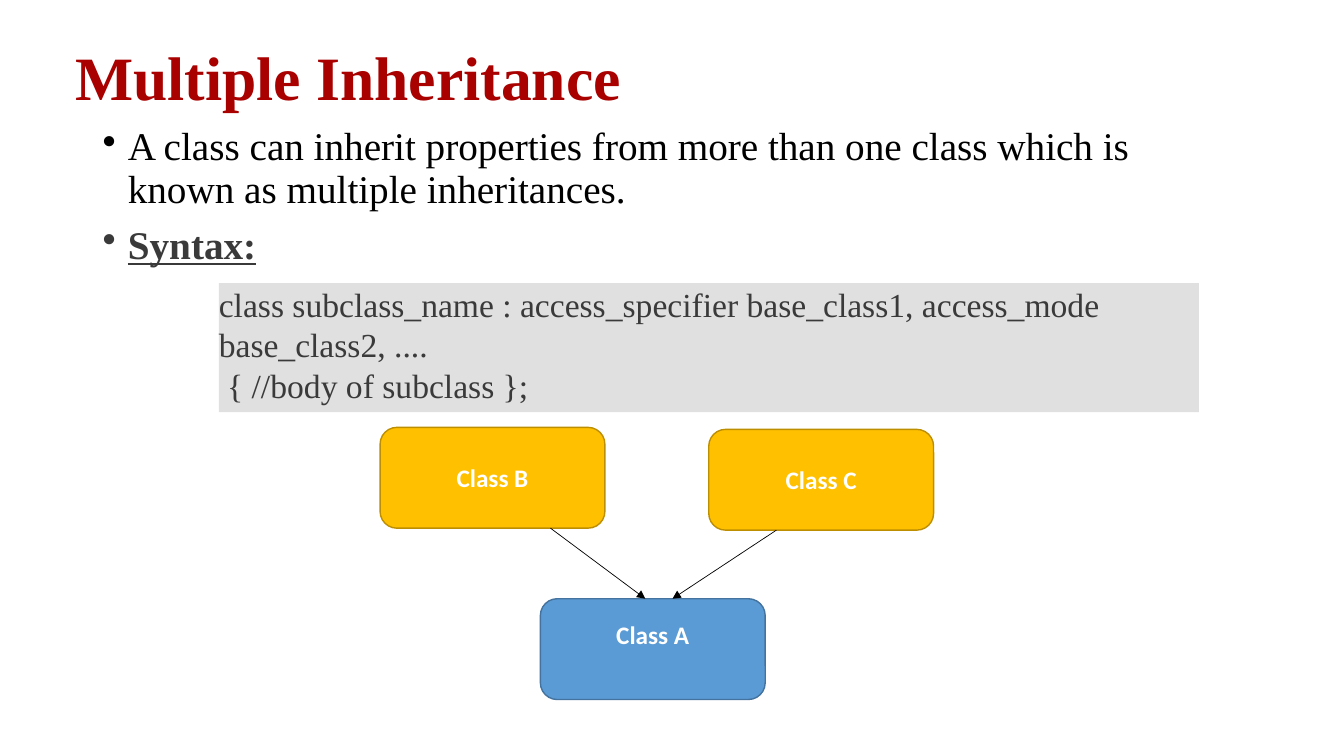
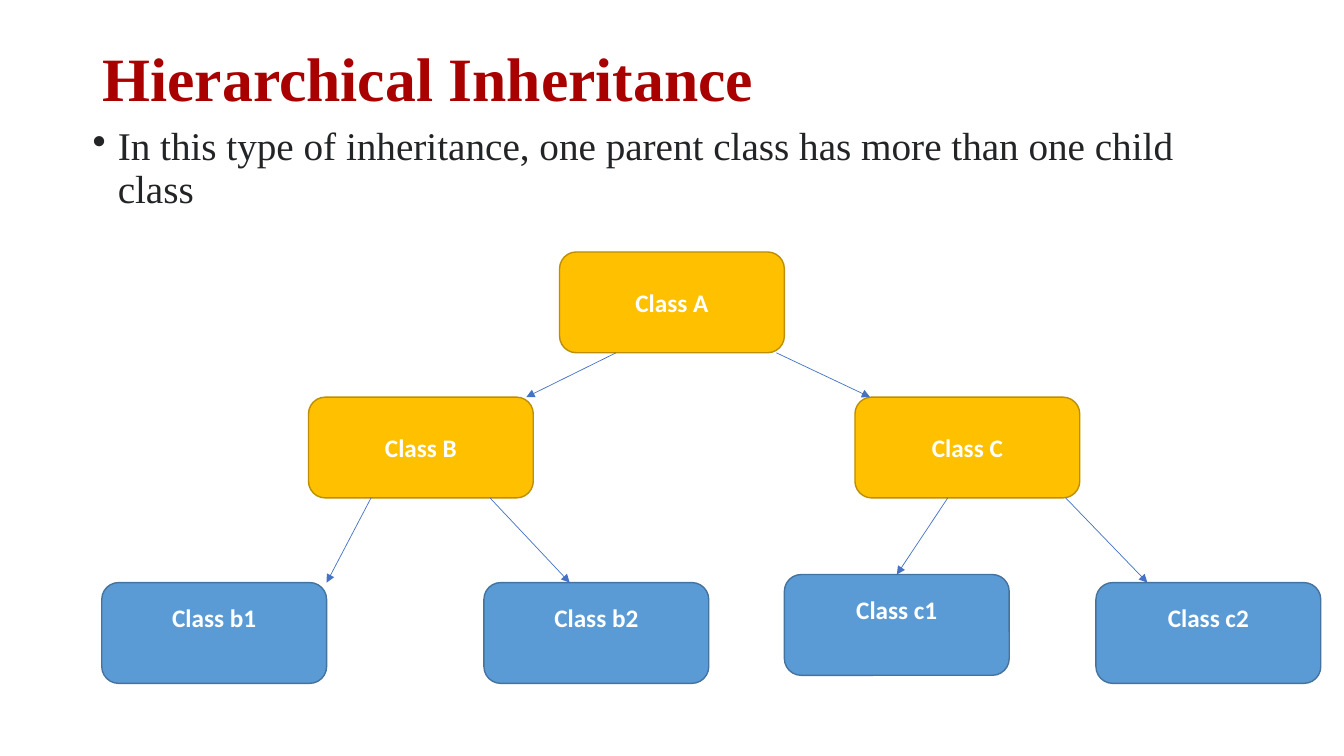
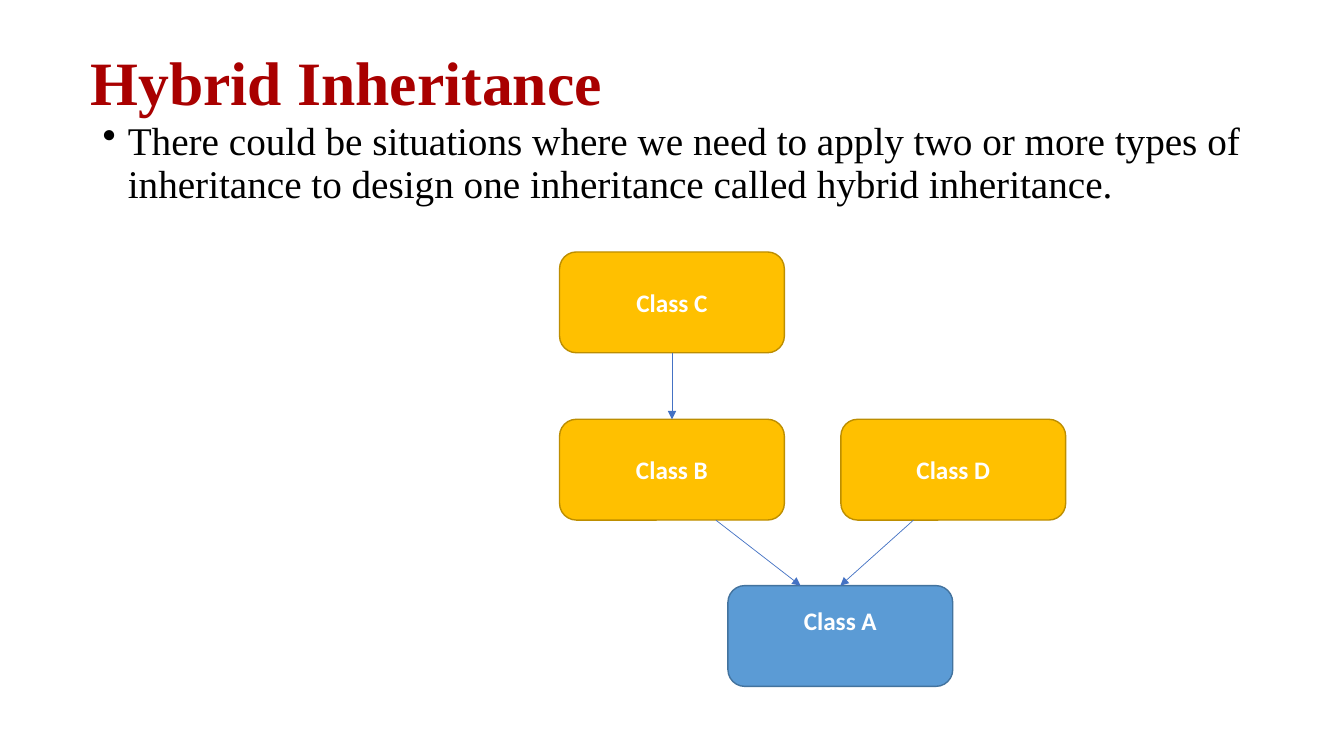
from lxml.etree import SubElement as Sub
from pptx import Presentation
from pptx.dml.color import RGBColor as RGB
from pptx.enum.shapes import MSO_CONNECTOR as Conn, MSO_SHAPE as Shape
from pptx.enum.text import MSO_ANCHOR as Anchor, PP_ALIGN as Align
from pptx.oxml.ns import qn
from pptx.util import Inches, Pt

RED = RGB(0xA9, 0x00, 0x00)
BLACK = RGB(0x00, 0x00, 0x00)
WHITE = RGB(0xFF, 0xFF, 0xFF)
INK = RGB(0x22, 0x24, 0x26)
SLATE = RGB(0x3A, 0x3A, 0x3A)
GREY = RGB(0xE0, 0xE0, 0xE0)
GOLD = RGB(0xFF, 0xC0, 0x00)
BRONZE = RGB(0xBD, 0x8E, 0x00)
SKY = RGB(0x5B, 0x9B, 0xD5)
STEEL = RGB(0x43, 0x73, 0x9E)
BLUE = RGB(0x44, 0x72, 0xC4)
SERIF, SANS = "Times New Roman", "Calibri"
WIDE, HIGH = 2.23, 1
MID = WIDE / 2


def write(para, text, size, color, font=SERIF, bold=False, line=False):
    """Add one styled run to a paragraph."""
    run = para.add_run()
    run.text = text
    face = run.font
    face.name, face.size, face.bold = font, Pt(size), bold
    face.underline = line
    face.color.rgb = color


def frame(slide, x, y, w, h):
    """Add a wrapping text box and return its text frame."""
    text = slide.shapes.add_textbox(*map(Inches, (x, y, w, h))).text_frame
    text.word_wrap = True
    return text


def rows(text, count):
    """Yield the given number of paragraphs of a text frame."""
    yield text.paragraphs[0]
    for _ in range(count - 1):
        yield text.add_paragraph()


def title(slide, x, y, words):
    """Write the slide title."""
    text = frame(slide, x, y, 11.5, 0.82)
    text.vertical_anchor = Anchor.MIDDLE
    para = text.paragraphs[0]
    para.line_spacing = 0.9
    write(para, words, 44, RED, bold=True)


def body(slide, x, y, items):
    """Write bulleted items, each a text, a colour and a heading flag."""
    text = frame(slide, x, y, 11.5, 1 + 0.5 * (len(items) - 1))
    for i, (para, item) in enumerate(zip(rows(text, len(items)), items)):
        words, color, head = item
        props = para._p.get_or_add_pPr()
        props.set("marL", str(Inches(0.25)))
        props.set("indent", str(Inches(-0.25)))
        Sub(props, qn("a:buChar")).set("char", "•")
        para.line_spacing = 0.9
        if i:
            para.space_before = Pt(10)
        write(para, words, 28, color, bold=head, line=head)


def block(slide, kind, x, y, w, h, fill):
    """Add a plain filled shape without a shadow."""
    shape = slide.shapes.add_shape(kind, *map(Inches, (x, y, w, h)))
    shape.shadow.inherit = False
    shape.fill.solid()
    shape.fill.fore_color.rgb = fill
    shape.text_frame.word_wrap = True
    shape.text_frame.vertical_anchor = Anchor.MIDDLE
    return shape


def code(slide, x, y, w, h, lines):
    """Show code lines on a grey panel."""
    panel = block(slide, Shape.RECTANGLE, x, y, w, h, GREY)
    panel.line.fill.background()
    text = panel.text_frame
    text.margin_left = text.margin_right = text.margin_top = 0
    text.margin_bottom = Inches(0.07)
    for para, words in zip(rows(text, len(lines)), lines):
        para.alignment = Align.LEFT
        write(para, words, 24, SLATE)


def node(slide, x, y, name, leaf):
    """Draw one class box; a leaf is blue with raised text."""
    fill, edge = (SKY, STEEL) if leaf else (GOLD, BRONZE)
    box = block(slide, Shape.ROUNDED_RECTANGLE, x, y, WIDE, HIGH, fill)
    box.line.color.rgb = edge
    box.line.width = Pt(1)
    text = box.text_frame
    if leaf:
        text.margin_bottom = Inches(0.35)
    para = text.paragraphs[0]
    para.alignment = Align.CENTER
    write(para, f"Class {name}", 18, WHITE, SANS, bold=True)
    return box


def link(slide, start, out, end, into, color):
    """Draw an arrow from a box's bottom to another's top, at given offsets."""
    line = slide.shapes.add_connector(
        Conn.STRAIGHT, start.left + Inches(out), start.top + start.height,
        end.left + Inches(into), end.top)
    if out == MID:
        line.begin_connect(start, 2)
    if into == MID:
        line.end_connect(end, 0)
    line.line.color.rgb = color
    line.line.width = Pt(0.5)
    Sub(line.line._get_or_add_ln(), qn("a:tailEnd")).set("type", "triangle")
    Sub(line._element.spPr, qn("a:effectLst"))


def tree(slide, x, y, spots, links, color=BLUE):
    """Draw class boxes relative to a corner, and the arrows joining them."""
    heads = {start for start, *_ in links}
    boxes = {name: node(slide, x + dx, y + dy, name, name not in heads)
             for name, (dx, dy) in spots.items()}
    for start, out, end, into in links:
        link(slide, boxes[start], out, boxes[end], into, color)


def multi(slide):
    """Build the multiple inheritance slide."""
    title(slide, 0.65, 0.39, "Multiple Inheritance")
    body(slide, 0.92, 1.21, [
        ("A class can inherit properties from more than one class which is "
         "known as multiple inheritances.", BLACK, False),
        ("Syntax:", SLATE, True)])
    code(slide, 2.17, 2.81, 9.72, 1.28, [
        "class subclass_name : access_specifier base_class1, "
        "access_mode base_class2, ....",
        " { //body of subclass };"])
    tree(slide, 3.77, 4.24,
         {"B": (0, 0), "C": (3.26, 0.02), "A": (1.59, 1.7)},
         [("B", 1.69, "A", 1.04), ("C", 0.67, "A", 1.31)], BLACK)


def levels(slide):
    """Build the hierarchical inheritance slide."""
    title(slide, 0.92, 0.4, "Hierarchical Inheritance")
    body(slide, 0.82, 1.21, [
        ("In this type of inheritance, one parent class has more than one "
         "child class", INK, False)])
    tree(slide, 1.01, 2.5,
         {"A": (4.54, 0), "B": (2.05, 1.44), "C": (7.47, 1.44),
          "b1": (0, 3.28), "b2": (3.79, 3.28),
          "c1": (6.77, 3.2), "c2": (9.86, 3.28)},
         [("A", 0.56, "B", 2.16), ("A", 2.15, "C", 0.15),
          ("B", 0.62, "b1", 2.23), ("B", 1.8, "b2", 0.85),
          ("C", 0.92, "c1", MID), ("C", 2.09, "c2", 0.51)])


def hybrid(slide):
    """Build the hybrid inheritance slide."""
    title(slide, 0.8, 0.44, "Hybrid Inheritance")
    body(slide, 0.92, 1.16, [
        ("There could be situations where we need to apply two or more types "
         "of inheritance to design one inheritance called hybrid "
         "inheritance.", BLACK, False)])
    tree(slide, 5.55, 2.5,
         {"C": (0, 0), "B": (0, 1.66), "D": (2.79, 1.66), "A": (1.67, 3.31)},
         [("C", MID, "B", MID), ("B", 1.55, "A", 0.72),
          ("D", 0.72, "A", MID)])


def main():
    """Build and save the deck."""
    deck = Presentation()
    deck.slide_width, deck.slide_height = Inches(13.33), Inches(7.5)
    for build in (multi, levels, hybrid):
        build(deck.slides.add_slide(deck.slide_layouts[6]))
    deck.save("out.pptx")


if __name__ == "__main__":
    main()
